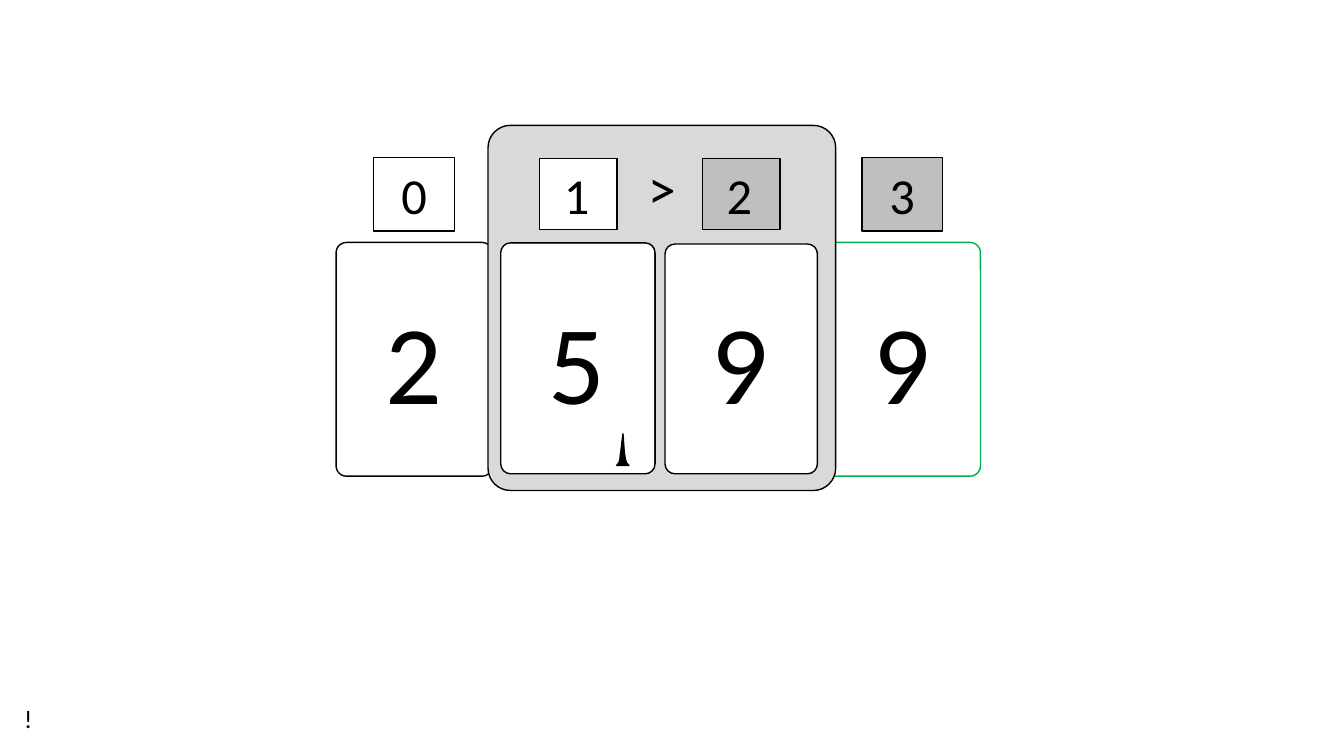
from dataclasses import dataclass

from pptx import Presentation
from pptx.dml.color import RGBColor
from pptx.enum.shapes import MSO_SHAPE as Kind
from pptx.enum.text import MSO_ANCHOR as Anchor, MSO_AUTO_SIZE as Fit, PP_ALIGN as Align
from pptx.oxml.xmlchemy import OxmlElement as Node
from pptx.util import Cm, Pt

BLACK = RGBColor(0x00, 0x00, 0x00)
WHITE = RGBColor(0xFF, 0xFF, 0xFF)
GREEN = RGBColor(0x00, 0xB0, 0x50)
GREY = RGBColor(0xBF, 0xBF, 0xBF)
PALE = RGBColor(0xD9, 0xD9, 0xD9)
FONT = "Calibri"

# Grid of cards, in centimetres
LEFT, PITCH = 8.47, 4.1
CARD_TOP, CARD_W, CARD_H = 6.11, 3.94, 5.89
TAG_TOP, TAG_W, TAG_H = 3.97, 2.03, 1.85

Point = tuple[float, float]
Stroke = list[Point]  # one point for a line, three for a curve
ROUND = 0.55  # reach of a curve's handles that makes a quarter circle


@dataclass
class Card:
    value: str
    edge: RGBColor
    shade: RGBColor


@dataclass
class Box:
    x: float
    y: float
    w: float
    h: float
    r: float = 0

    def outline(self) -> list[Stroke]:
        """Strokes clockwise from the top left, with a curve at each round corner."""
        right, low = self.x + self.w, self.y + self.h
        corners = [(self.x, self.y, 0, -1), (right, self.y, 1, 0),
                   (right, low, 0, 1), (self.x, low, -1, 0)]
        if not self.r:
            return [[(x, y)] for x, y, _, _ in corners]
        slack = self.r * (1 - ROUND)
        strokes = []
        for x, y, dx, dy in corners:
            # (dx, dy) is the way the pen moves on arrival
            strokes.append([(x - dx * self.r, y - dy * self.r)])
            strokes.append([(x - dx * slack, y - dy * slack),
                            (x - dy * slack, y + dx * slack),
                            (x - dy * self.r, y + dx * self.r)])
        return strokes


CARDS = [Card("2", BLACK, WHITE), Card("5", BLACK, WHITE),
         Card("9", GREEN, GREY), Card("9", GREEN, GREY)]

# Windows onto the compared pair, then the frame around them
FRAME = [Box(16.76, 6.15, 3.84, 5.79, 0.25),
         Box(12.62, 6.12, 3.89, 5.82, 0.25),
         Box(17.7, 3.99, 1.96, 1.8),
         Box(13.59, 3.99, 1.98, 1.8),
         Box(12.3, 3.16, 8.76, 9.2, 0.56)]

NEEDLE = [[(15.54, 11.73)],
          [(15.65, 11.66), (15.62, 11.48), (15.65, 11.35)],
          [(15.7, 10.93)],
          [(15.73, 11.35)],
          [(15.75, 11.48), (15.75, 11.68), (15.85, 11.73)]]


def paint(shape, fill: RGBColor, edge: RGBColor) -> None:
    shape.shadow.inherit = False
    shape.fill.solid()
    shape.fill.fore_color.rgb = fill
    shape.line.color.rgb = edge
    shape.line.width = Pt(1)


def write(shape, text: str, size: int, align=Align.CENTER, anchor=Anchor.MIDDLE) -> None:
    frame = shape.text_frame
    frame.text = text
    frame.vertical_anchor = anchor
    line = frame.paragraphs[0]
    line.alignment = align
    font = line.runs[0].font
    font.name, font.size, font.color.rgb = FONT, Pt(size), BLACK


def add_box(shapes, kind: Kind, box: Box, fill: RGBColor, edge: RGBColor,
            text: str, size: int):
    shape = shapes.add_shape(kind, Cm(box.x), Cm(box.y), Cm(box.w), Cm(box.h))
    paint(shape, fill, edge)
    write(shape, text, size)
    return shape


def add_path(shapes, loops: list[list[Stroke]], fill: RGBColor):
    pen = None
    for start, *rest in loops:
        x, y = (Cm(value) for value in start[0])
        if pen is None:
            pen = shapes.build_freeform(x, y)
        else:
            pen.move_to(x, y)
        pen.add_line_segments([(Cm(px), Cm(py)) for stroke in rest for px, py in stroke])
    shape = pen.convert_to_shape()
    paint(shape, fill, BLACK)

    # Merge the three lines of each curve into one curve
    lines = iter(shape.element.xpath(".//a:lnTo"))
    for stroke in (stroke for loop in loops for stroke in loop[1:]):
        group = [next(lines) for _ in stroke]
        if len(group) == 3:
            bend = Node("a:cubicBezTo")
            group[0].addprevious(bend)
            for line in group:
                bend.append(line[0])
                line.getparent().remove(line)
    return shape


def main() -> None:
    deck = Presentation()
    deck.slide_width, deck.slide_height = Cm(33.87), Cm(19.05)
    shapes = deck.slides.add_slide(deck.slide_layouts[6]).shapes

    # Cards with their index tags
    for index, card in enumerate(CARDS):
        x = LEFT + index * PITCH
        body = add_box(shapes, Kind.ROUNDED_RECTANGLE, Box(x, CARD_TOP, CARD_W, CARD_H),
                       WHITE, card.edge, card.value, 80)
        body.adjustments[0] = 0.066
        add_box(shapes, Kind.RECTANGLE, Box(x + 0.95, TAG_TOP, TAG_W, TAG_H),
                card.shade, BLACK, str(index), 36)

    # Needle on the second card
    add_path(shapes, [NEEDLE], BLACK)

    # Frame with the comparison sign
    frame = add_path(shapes, [box.outline() for box in FRAME], PALE)
    write(frame, ">", 40, anchor=Anchor.TOP)
    frame.text_frame.margin_top = Cm(0.7)

    # Mark in the bottom corner
    mark = shapes.add_textbox(Cm(0.36), Cm(17.6), Cm(0.71), Cm(1.02))
    write(mark, "!", 18, Align.LEFT, Anchor.TOP)
    mark.text_frame.word_wrap = False
    mark.text_frame.auto_size = Fit.SHAPE_TO_FIT_TEXT

    deck.save("out.pptx")


if __name__ == "__main__":
    main()
